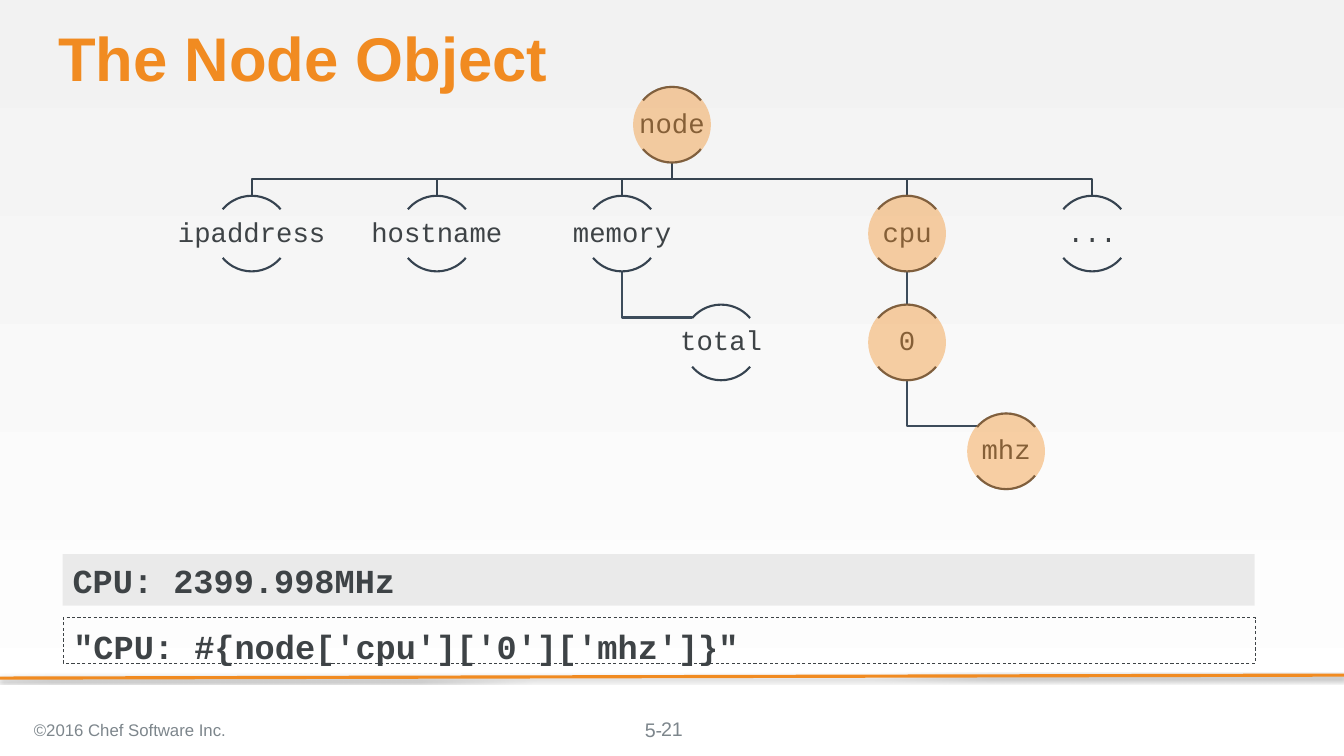
from lxml import etree
from pptx import Presentation
from pptx import util as u
from pptx.dml.color import RGBColor
from pptx.enum import dml, shapes, text
from pptx.oxml import ns

ORANGE = RGBColor(0xF1, 0x8B, 0x21)
INK = RGBColor(0x3E, 0x43, 0x46)
SLATE = RGBColor(0x36, 0x43, 0x50)
STEEL = RGBColor(0x3D, 0x4C, 0x5B)
MUTED = RGBColor(0x7D, 0x86, 0x8C)
SILVER = RGBColor(0xD9, 0xD9, 0xD9)
PALE = RGBColor(0xF2, 0xF2, 0xF2)
WHITE = RGBColor(0xFF, 0xFF, 0xFF)

MONO = "Courier New"
SANS = "Arial"
RADIUS = 0.5
ROW = 1.44
TOP = 1.65
CHILD = 1.31

NODES = {
    "node": (8.89, 0),
    "ipaddress": (3.33, 1),
    "hostname": (5.78, 1),
    "memory": (8.23, 1),
    "total": (8.23 + CHILD, 2),
    "cpu": (12, 1),
    "0": (12, 2),
    "mhz": (12 + CHILD, 3),
    "...": (14.45, 1),
}
ROOT_CHILDREN = ["...", "cpu", "memory", "hostname", "ipaddress"]
SIDE_BRANCHES = [("0", "mhz"), ("memory", "total")]
HIGHLIGHTED = ["cpu", "node", "0", "mhz"]


def center(name):
    x, level = NODES[name]
    return x, TOP + level * ROW


class Deck:
    def __init__(self, width, height):
        self.prs = Presentation()
        self.prs.slide_width = u.Inches(width)
        self.prs.slide_height = u.Inches(height)
        self.s = self.prs.slides.add_slide(self.prs.slide_layouts[6])

    def background(self, start, end):
        fill = self.s.background.fill
        fill.gradient()
        fill.gradient_angle = 270
        for stop, color, position in zip(fill.gradient_stops, (start, end), (0, 1)):
            stop.color.rgb = color
            stop.position = position

    def add_text(self, sp, words, font, size, color, bold=False, align=text.PP_ALIGN.LEFT,
                 anchor=text.MSO_ANCHOR.TOP, insets=(0.1, 0.05, 0.1, 0.05), spacing=None):
        tf = sp.text_frame
        tf.word_wrap = True
        tf.vertical_anchor = anchor
        tf.margin_left, tf.margin_top, tf.margin_right, tf.margin_bottom = map(u.Inches, insets)
        p = tf.paragraphs[0]
        p.alignment = align
        p.line_spacing = spacing
        r = p.add_run()
        r.text = words
        r.font.name = font
        r.font.size = u.Pt(size)
        r.font.bold = bold
        r.font.color.rgb = color

    def label(self, box, words, font, size, color, **style):
        sp = self.s.shapes.add_textbox(*map(u.Inches, box))
        self.add_text(sp, words, font, size, color, **style)

    def shape(self, kind, box, fill=None, alpha=100, line=None, weight=1):
        sp = self.s.shapes.add_shape(kind, *map(u.Inches, box))
        sp.shadow.inherit = False
        if fill is None:
            sp.fill.background()
        else:
            sp.fill.solid()
            sp.fill.fore_color.rgb = fill
            color = sp._element.spPr.find(ns.qn("a:solidFill")).find(ns.qn("a:srgbClr"))
            etree.SubElement(color, ns.qn("a:alpha"), val=str(alpha * 1000))
        if line is None:
            sp.line.fill.background()
        else:
            sp.line.color.rgb = line
            sp.line.width = u.Pt(weight)
        return sp

    def branch(self, points, color):
        points = [(u.Inches(x), u.Inches(y)) for x, y in points]
        builder = self.s.shapes.build_freeform(*points[0])
        builder.add_line_segments(points[1:], close=False)
        sp = builder.convert_to_shape()
        sp.shadow.inherit = False
        sp.fill.background()
        sp.line.color.rgb = color
        sp.line.width = u.Pt(2)

    def line(self, start, end, color, weight):
        sp = self.s.shapes.add_connector(
            shapes.MSO_CONNECTOR.STRAIGHT, *map(u.Inches, start + end))
        sp.line.color.rgb = color
        sp.line.width = u.Pt(weight)
        return etree.SubElement(sp._element.spPr, ns.qn("a:effectLst"))

    def shadowed_line(self, start, end, color, weight):
        effects = self.line(start, end, color, weight)
        shadow = etree.SubElement(
            effects, ns.qn("a:outerShdw"), blurRad=str(int(u.Pt(3.1))),
            dist=str(int(u.Pt(1.8))), dir="5400000", rotWithShape="0")
        black = etree.SubElement(shadow, ns.qn("a:srgbClr"), val="000000")
        etree.SubElement(black, ns.qn("a:alpha"), val="35000")

    def node(self, name):
        x, y = center(name)
        for angles in ((132, 192), (24, 84)):
            sp = self.shape(shapes.MSO_SHAPE.ARC,
                            (x - RADIUS, y - RADIUS, 2 * RADIUS, 2 * RADIUS),
                            line=SLATE, weight=2)
            sp.adjustments[0], sp.adjustments[1] = angles
        self.label((x - 1.01, y - 0.33, 2.02, 0.65), name, MONO, 26, INK,
                   align=text.PP_ALIGN.CENTER, anchor=text.MSO_ANCHOR.MIDDLE,
                   insets=(0.02,) * 4, spacing=0.9)

    def highlight(self, name):
        x, y = center(name)
        size = 1.03
        self.shape(shapes.MSO_SHAPE.OVAL, (x - size / 2, y - size / 2, size, size),
                   fill=ORANGE, alpha=40)

    def code(self, sp, words, top):
        self.add_text(sp, words, MONO, 32, INK, bold=True, insets=(0.13, top, 0, 0))


def main():
    deck = Deck(17.78, 10)
    deck.background(PALE, WHITE)
    deck.shadowed_line((17.78, 8.93), (0, 8.97), ORANGE, 3)
    deck.label((8.49, 9.49, 0.8, 0.31), "5-", SANS, 18.7, MUTED, insets=(0.04, 0, 0, 0))

    template = deck.shape(shapes.MSO_SHAPE.RECTANGLE, (0.84, 8.17, 15.77, 0.6),
                          line=INK, weight=0.75)
    template.line.dash_style = dml.MSO_LINE.DASH
    deck.code(template, "\"CPU: #{node['cpu']['0']['mhz']}\"", 0.11)

    root_x, root_y = center("node")
    for name in ROOT_CHILDREN:
        x, y = center(name)
        deck.branch([(root_x, root_y + RADIUS), (root_x, 2.37), (x, 2.37), (x, y - RADIUS)],
                    SLATE)
    for parent, child in SIDE_BRANCHES:
        (px, py), (cx, cy) = center(parent), center(child)
        elbow = cy - 0.33
        deck.branch([(px, py + RADIUS), (px, elbow), (cx - 0.38, elbow)], STEEL)
    cpu_x, cpu_y = center("cpu")
    deck.line((cpu_x, cpu_y + RADIUS), (cpu_x, cpu_y + ROW - RADIUS), STEEL, 2)

    for name in NODES:
        deck.node(name)
    for name in HIGHLIGHTED:
        deck.highlight(name)

    output = deck.shape(shapes.MSO_SHAPE.RECTANGLE, (0.83, 7.33, 15.77, 0.68),
                        fill=SILVER, alpha=50)
    deck.code(output, "CPU: 2399.998MHz", 0.08)
    deck.label((0.35, 9.38, 6.21, 0.56), "©2016 Chef Software Inc.", SANS, 16, MUTED,
               anchor=text.MSO_ANCHOR.MIDDLE)
    deck.label((6.89, 9.38, 4, 0.53), "21", SANS, 18.7, MUTED,
               align=text.PP_ALIGN.CENTER, anchor=text.MSO_ANCHOR.MIDDLE)
    deck.label((0.67, 0.33, 16.33, 0.91), "The Node Object", SANS, 58.7, ORANGE,
               bold=True, spacing=0.9)
    deck.prs.save("out.pptx")


if __name__ == "__main__":
    main()
